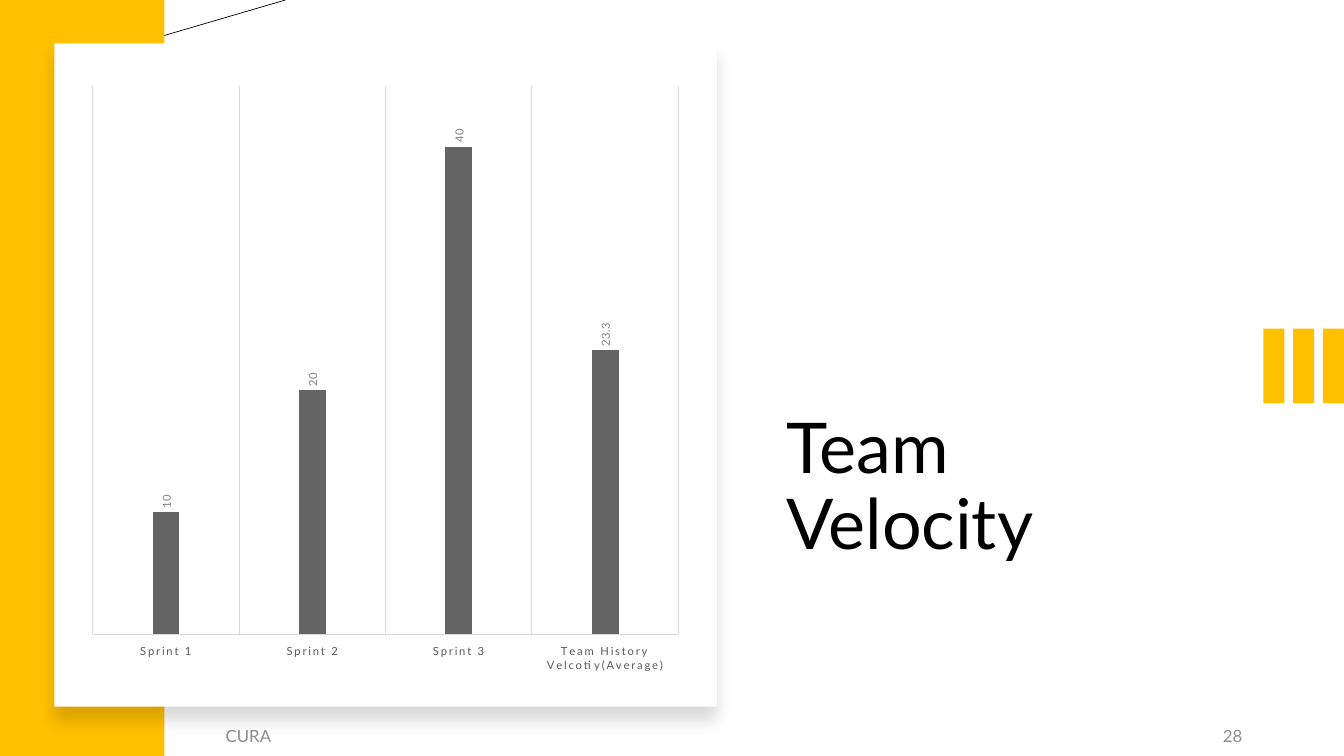
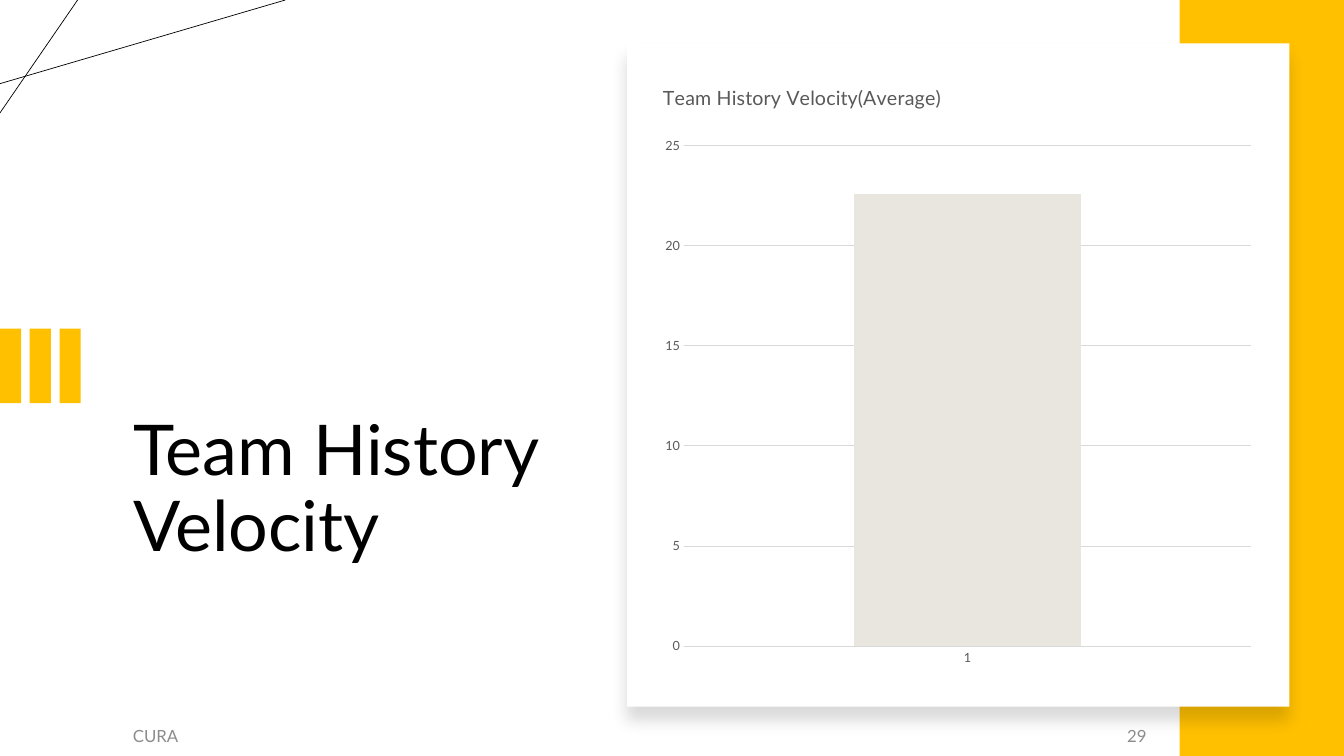
from lxml import etree
from pptx import Presentation
from pptx.chart.data import CategoryChartData
from pptx.dml.color import RGBColor
from pptx.enum.chart import XL_CHART_TYPE, XL_LABEL_POSITION, XL_TICK_LABEL_POSITION, XL_TICK_MARK
from pptx.enum.shapes import MSO_CONNECTOR, MSO_SHAPE
from pptx.enum.text import MSO_ANCHOR, MSO_AUTO_SIZE, PP_ALIGN
from pptx.oxml.ns import qn
from pptx.util import Inches, Pt

FONT = "Lato"
COLORS = {
    "black": "000000",
    "white": "FFFFFF",
    "accent": "FFC000",
    "footer": "8C8C8C",
    "axis": "595959",
    "grid": "D9D9D9",
    "label": "808080",
    "dark_bar": "646464",
    "pale_bar": "E9E6DF",
}
FIRST_NUMBER = 28
CARD_TOP, CARD_W, CARD_H = 0.43, 6.57, 6.58
CHART_TOP, CHART_W, CHART_H = 0.73, 6.05, 5.98


def rgb(name):
    return RGBColor.from_string(COLORS[name])


def style_font(font, size, color):
    font.name = FONT
    font.size = Pt(size)
    font.bold = False
    font.color.rgb = rgb(color)


def style_line(line, color, width):
    line.color.rgb = rgb(color)
    line.width = Pt(width)


def add_line(s, x1, y1, x2, y2):
    line = s.shapes.add_connector(
        MSO_CONNECTOR.STRAIGHT, Inches(x1), Inches(y1), Inches(x2), Inches(y2))
    style_line(line.line, "black", 0.5)
    etree.SubElement(line._element.spPr, qn("a:effectLst"))


def add_rect(s, x, y, w, h, color):
    rect = s.shapes.add_shape(
        MSO_SHAPE.RECTANGLE, Inches(x), Inches(y), Inches(w), Inches(h))
    rect.shadow.inherit = False
    rect.fill.solid()
    rect.fill.fore_color.rgb = rgb(color)
    rect.line.fill.background()
    return rect


def add_card(s, x):
    card = add_rect(s, x, CARD_TOP, CARD_W, CARD_H, "white")
    effects = card._element.spPr.find(qn("a:effectLst"))
    shadow = etree.SubElement(
        effects, qn("a:outerShdw"), blurRad=str(Pt(11)), dist=str(Pt(10)),
        dir="5400000", algn="t", rotWithShape="0")
    color = etree.SubElement(shadow, qn("a:srgbClr"), val=COLORS["black"])
    etree.SubElement(color, qn("a:alpha"), val="15000")


def add_bars(s, left):
    for i in range(3):
        add_rect(s, left + i * 0.59 / 2, 3.26, 0.21, 0.74, "accent")


def set_title(s, text, x, y):
    title = s.shapes.title
    title.left, title.top = Inches(x), Inches(y)
    title.width, title.height = Inches(4.41), Inches(1.78)
    tf = title.text_frame
    tf.text = text
    tf.auto_size = MSO_AUTO_SIZE.NONE
    tf.vertical_anchor = MSO_ANCHOR.TOP
    p = tf.paragraphs[0]
    p.alignment = PP_ALIGN.LEFT
    p.line_spacing = 0.9
    style_font(p.font, 50, "black")


def add_footer_box(s, x, w, align):
    box = s.shapes.add_textbox(Inches(x), Inches(7.1), Inches(w), Inches(0.4))
    tf = box.text_frame
    tf.word_wrap = True
    tf.vertical_anchor = MSO_ANCHOR.MIDDLE
    p = tf.paragraphs[0]
    p.alignment = align
    return p


def add_footer(s, number, text_at, number_at):
    p = add_footer_box(s, *text_at, PP_ALIGN.LEFT)
    p.text = "CURA"
    style_font(p.font, 12, "footer")
    p = add_footer_box(s, *number_at, PP_ALIGN.RIGHT)
    r = p.add_run()
    r.text = str(number)
    style_font(r.font, 12, "footer")
    field = r._r
    field.tag = qn("a:fld")
    field.set("id", "{B6F15528-21DE-4FAA-801E-634DDDAF4B2B}")
    field.set("type", "slidenum")


def set_layout(parent, index, target=None, **fractions):
    for old in parent.findall(qn("c:layout")):
        parent.remove(old)
    layout = etree.Element(qn("c:layout"))
    manual = etree.SubElement(layout, qn("c:manualLayout"))
    if target:
        etree.SubElement(manual, qn("c:layoutTarget"), val=target)
    for key in ("x", "y"):
        etree.SubElement(manual, qn(f"c:{key}Mode"), val="edge")
    for key, value in fractions.items():
        etree.SubElement(manual, qn(f"c:{key}"), val=str(value))
    parent.insert(index, layout)


def style_axis(axis, size):
    axis.major_tick_mark = XL_TICK_MARK.NONE
    axis.minor_tick_mark = XL_TICK_MARK.NONE
    style_font(axis.tick_labels.font, size, "axis")
    axis.format.line.fill.background()


def show_grid(axis):
    axis.has_major_gridlines = True
    style_line(axis.major_gridlines.format.line, "grid", 0.75)


def add_column_chart(s, x, name, categories, values, color, gap, top, size, plot_box):
    data = CategoryChartData()
    data.categories = categories
    data.add_series(name, values)
    chart = s.shapes.add_chart(
        XL_CHART_TYPE.COLUMN_CLUSTERED, Inches(x), Inches(CHART_TOP),
        Inches(CHART_W), Inches(CHART_H), data).chart
    style_font(chart.font, 10, "black")
    chart.has_legend = False
    chart.has_title = False
    plot = chart.plots[0]
    plot.vary_by_categories = False
    plot.gap_width = gap
    fill = plot.series[0].format.fill
    fill.solid()
    fill.fore_color.rgb = rgb(color)
    for axis in (chart.category_axis, chart.value_axis):
        style_axis(axis, size)
    chart.value_axis.minimum_scale = 0
    chart.value_axis.maximum_scale = top
    plot_area = chart._chartSpace.chart.plotArea
    set_layout(plot_area, 0, "inner", **dict(zip("xywh", plot_box)))
    return chart


def add_sprint_chart(s):
    chart = add_column_chart(
        s, 0.8, "Series 1",
        ["Sprint 1", "Sprint 2", "Sprint 3", "Team History Velcotiy(Average)"],
        [10, 20, 40, 23.3], "dark_bar", 444, 45, 8, (0.02, 0.02, 0.96, 0.91))
    axis = chart.category_axis
    show_grid(axis)
    style_line(axis.format.line, "grid", 0.75)
    axis.tick_label_position = XL_TICK_LABEL_POSITION.LOW
    axis.tick_labels.font._element.set("spc", "120")
    chart.value_axis.has_major_gridlines = False
    chart.value_axis.visible = False
    plot = chart.plots[0]
    plot.overlap = -90
    plot.has_data_labels = True
    labels = plot.data_labels
    labels.show_value = True
    labels.position = XL_LABEL_POSITION.OUTSIDE_END
    style_font(labels.font, 8, "label")
    body = labels._element.find(qn("c:txPr")).find(qn("a:bodyPr"))
    body.set("rot", "-5400000")
    body.set("vert", "horz")


def add_average_chart(s):
    name = "Team History Velocity(Average)"
    chart = add_column_chart(
        s, 6.48, name, ["1"], [22.6], "pale_bar", 150, 25, 9,
        (0.05, 0.12, 0.93, 0.83))
    chart.value_axis.major_unit = 5
    show_grid(chart.value_axis)
    title = chart.chart_title
    title.include_in_layout = False
    p = title.text_frame.paragraphs[0]
    r = p.add_run()
    r.text = name
    style_font(r.font, 14, "axis")
    set_layout(title._element, 1, x=0.01, y=0.01)


def add_slide(prs, number, title, title_at, band_x, bars_x, card_x, text_at, number_at):
    s = prs.slides.add_slide(prs.slide_layouts[5])
    add_line(s, 0, 0.83, 2.83, 0)
    add_line(s, 0.77, 0, 0, 1.12)
    set_title(s, title, *title_at)
    add_rect(s, band_x, 0, 1.63, 7.5, "accent")
    add_card(s, card_x)
    add_bars(s, bars_x)
    add_footer(s, number, text_at, number_at)
    return s


def main():
    prs = Presentation()
    prs.slide_width, prs.slide_height = Inches(13.33), Inches(7.5)
    prs.element.set("firstSlideNum", str(FIRST_NUMBER))
    s = add_slide(prs, FIRST_NUMBER, "Team Velocity", (7.7, 4.05), 0, 12.53, 0.54,
                  (2.14, 4.15), (10.99, 1.43))
    add_sprint_chart(s)
    s = add_slide(prs, FIRST_NUMBER + 1, "Team History Velocity", (1.22, 4.07), 11.7, 0, 6.22,
                  (1.22, 4.12), (9.42, 2.05))
    add_average_chart(s)
    prs.save("out.pptx")


if __name__ == "__main__":
    main()
